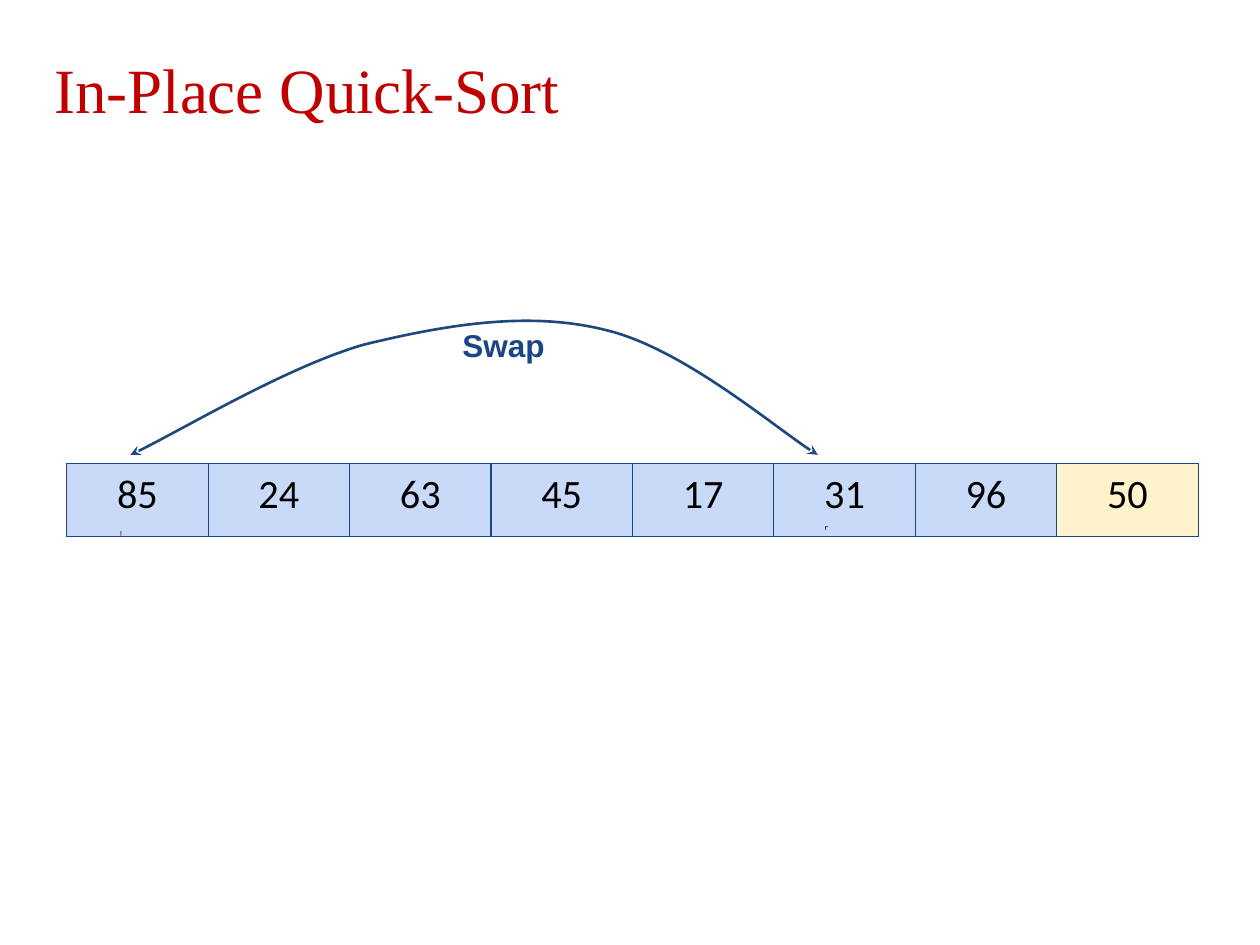
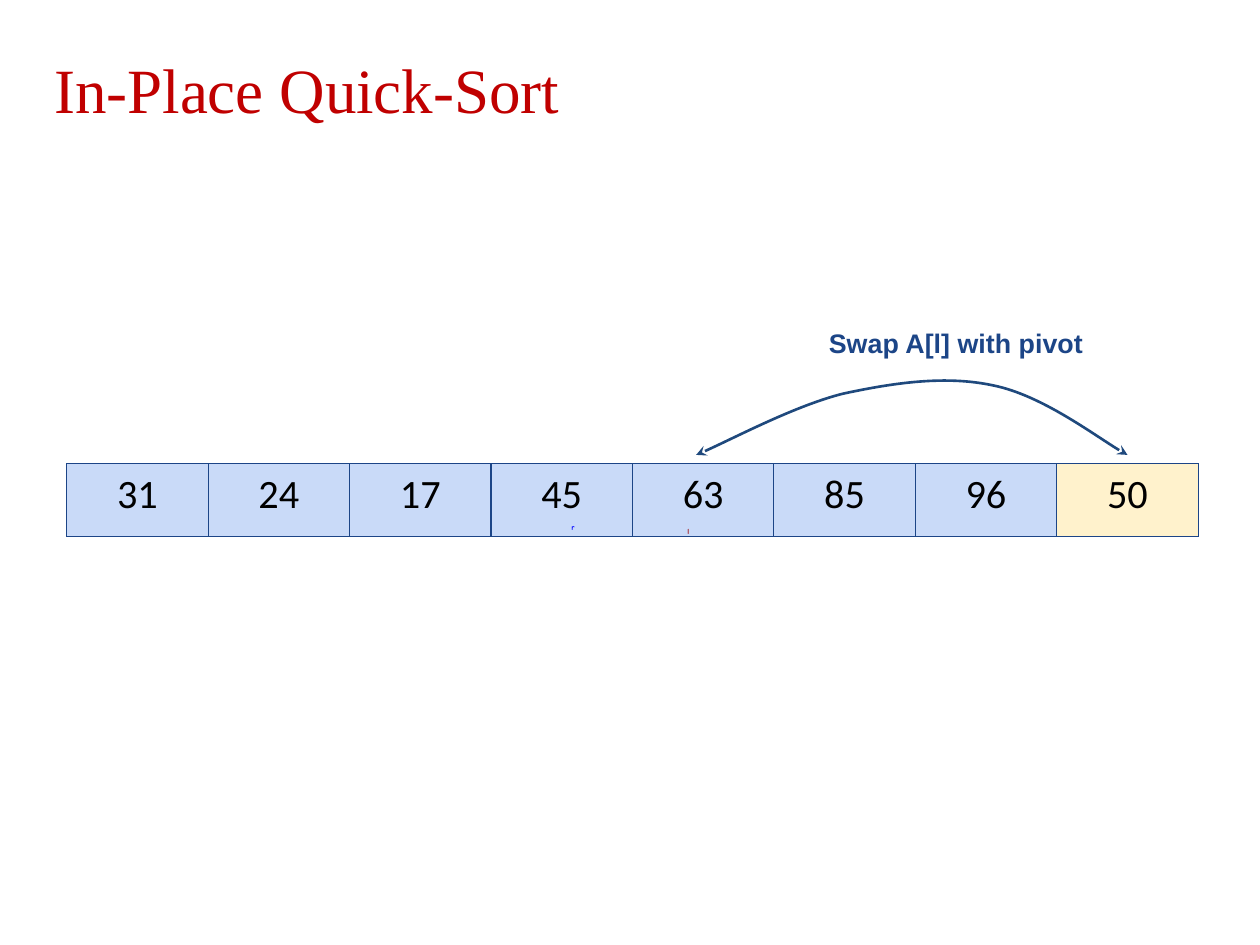
"""Builds two slides that show the swaps of an in-place quick-sort."""
from lxml.etree import SubElement
from pptx import Presentation
from pptx.dml.color import RGBColor
from pptx.enum.text import MSO_ANCHOR, PP_ALIGN
from pptx.oxml.ns import qn
from pptx.util import Inches, Pt

NAVY = RGBColor(0x1C, 0x45, 0x87)
ARC_BLUE = RGBColor(0x1F, 0x49, 0x7D)
CELL_BLUE = RGBColor(0xC9, 0xDA, 0xF8)
PIVOT_CREAM = RGBColor(0xFF, 0xF2, 0xCC)
TITLE_RED = RGBColor(0xC0, 0x00, 0x00)
LEFT_RED = RGBColor(0x99, 0x00, 0x00)
RIGHT_BLUE = RGBColor(0x00, 0x00, 0xFF)
BLACK = RGBColor(0x00, 0x00, 0x00)

TITLE_FORMAT = {"name": "Times New Roman", "size": Pt(36), "color": TITLE_RED}
CELL_FORMAT = {"name": "Calibri", "size": Pt(23), "color": BLACK}
MARKER_FORMAT = {"name": "Comic Neue", "size": Pt(4.5), "bold": True}
LABEL_FORMAT = {"name": "Arial", "bold": True, "color": NAVY}

deck = Presentation()
deck.slide_width, deck.slide_height = Inches(10), Inches(7.5)
ARRAY_LEFT = Inches(0.53)
ARRAY_TOP = Inches(3.68)
COLUMN = int(deck.slide_width * 0.898 / 8)
ROW = Inches(0.58)

# Each point gives its share of the arc's width and of its rise.
ARC = [(0, 0), (0.06, 0.14), (0.23, 0.66), (0.34, 0.82), (0.46, 0.97),
       (0.58, 1.07), (0.69, 0.93), (0.8, 0.8), (0.95, 0.15), (1, 0)]

STEPS = [
    {"values": [85, 24, 63, 45, 17, 31, 96, 50],
     "markers": [("l", 0.29, 0.86, LEFT_RED), ("r", 5.27, 0.78, RIGHT_BLUE)],
     "arc": (0.45, 4.86, 1.84),
     "label": ("Swap", 2.71, 5.29, Pt(18))},
    {"values": [31, 24, 17, 45, 63, 85, 96, 50],
     "markers": [("l", 4.3, 0.83, LEFT_RED), ("r", 3.48, 0.78, RIGHT_BLUE)],
     "arc": (4.45, 3.05, 1.02),
     "label": ("Swap A[l] with pivot", 5.3, 2.02, Pt(15.3))},
]


def write(frame, text, font_format, alignment=PP_ALIGN.LEFT):
    para = frame.paragraphs[0]
    para.alignment = alignment
    span = para.add_run()
    span.text = text
    for name, value in font_format.items():
        if name == "color":
            span.font.color.rgb = value
        else:
            setattr(span.font, name, value)
    return para


def add_text(page, text, place, font_format):
    frame = page.shapes.add_textbox(*place).text_frame
    frame.word_wrap = True
    for side in ("left", "top", "right", "bottom"):
        setattr(frame, f"margin_{side}", Inches(0.1))
    return write(frame, text, font_format)


for step in STEPS:
    page = deck.slides.add_slide(deck.slide_layouts[5])
    title = page.shapes.title
    title.left, title.top = Inches(0.33), Inches(0.08)
    title.width, title.height = Inches(6.92), Inches(1.25)
    title.text_frame.vertical_anchor = MSO_ANCHOR.MIDDLE
    write(title.text_frame, "In-Place Quick-Sort", TITLE_FORMAT)

    values = step["values"]
    array = page.shapes.add_table(1, len(values), ARRAY_LEFT, ARRAY_TOP,
                                  COLUMN * len(values), ROW).table
    array.first_row = array.horz_banding = False
    for index, value in enumerate(values):
        cell = array.cell(0, index)
        write(cell.text_frame, str(value), CELL_FORMAT, PP_ALIGN.CENTER)
        properties = cell._tc.get_or_add_tcPr()
        for side in "LRTB":
            border = SubElement(properties, qn(f"a:ln{side}"), w=str(Pt(0.75)))
            paint = SubElement(border, qn("a:solidFill"))
            SubElement(paint, qn("a:srgbClr"), val=str(NAVY))
        cell.fill.solid()
        is_pivot = index == len(values) - 1
        cell.fill.fore_color.rgb = PIVOT_CREAM if is_pivot else CELL_BLUE

    for text, column, row, color in step["markers"]:
        place = (int(ARRAY_LEFT + column * COLUMN), int(ARRAY_TOP + row * ROW),
                 Inches(0.41), Inches(0.28))
        para = add_text(page, text, place, MARKER_FORMAT | {"color": color})
        para.line_spacing = 0.8

    start, span_columns, rise = step["arc"]
    points = [(int(ARRAY_LEFT + (start + across * span_columns) * COLUMN),
               int(ARRAY_TOP - (0.12 + up * rise) * ROW)) for across, up in ARC]
    builder = page.shapes.build_freeform(*points[0])
    builder.add_line_segments(points[1:], close=False)
    arc = builder.convert_to_shape()
    arc.shadow.inherit = False
    arc.fill.background()
    arc.line.color.rgb = ARC_BLUE
    arc.line.width = Pt(1.5)
    for end in ("headEnd", "tailEnd"):
        SubElement(arc.line._get_or_add_ln(), qn(f"a:{end}"), type="stealth")
    segments = list(arc._element.iter(qn("a:lnTo")))
    outline = segments[0].getparent()
    for first in range(0, len(segments), 3):
        curve = SubElement(outline, qn("a:cubicBezTo"))
        for segment in segments[first:first + 3]:
            curve.append(segment[0])
            outline.remove(segment)

    text, column, columns, size = step["label"]
    place = (int(ARRAY_LEFT + column * COLUMN), Inches(2.49),
             int(columns * COLUMN), Inches(0.69))
    add_text(page, text, place, LABEL_FORMAT | {"size": size})

deck.save("out.pptx")
